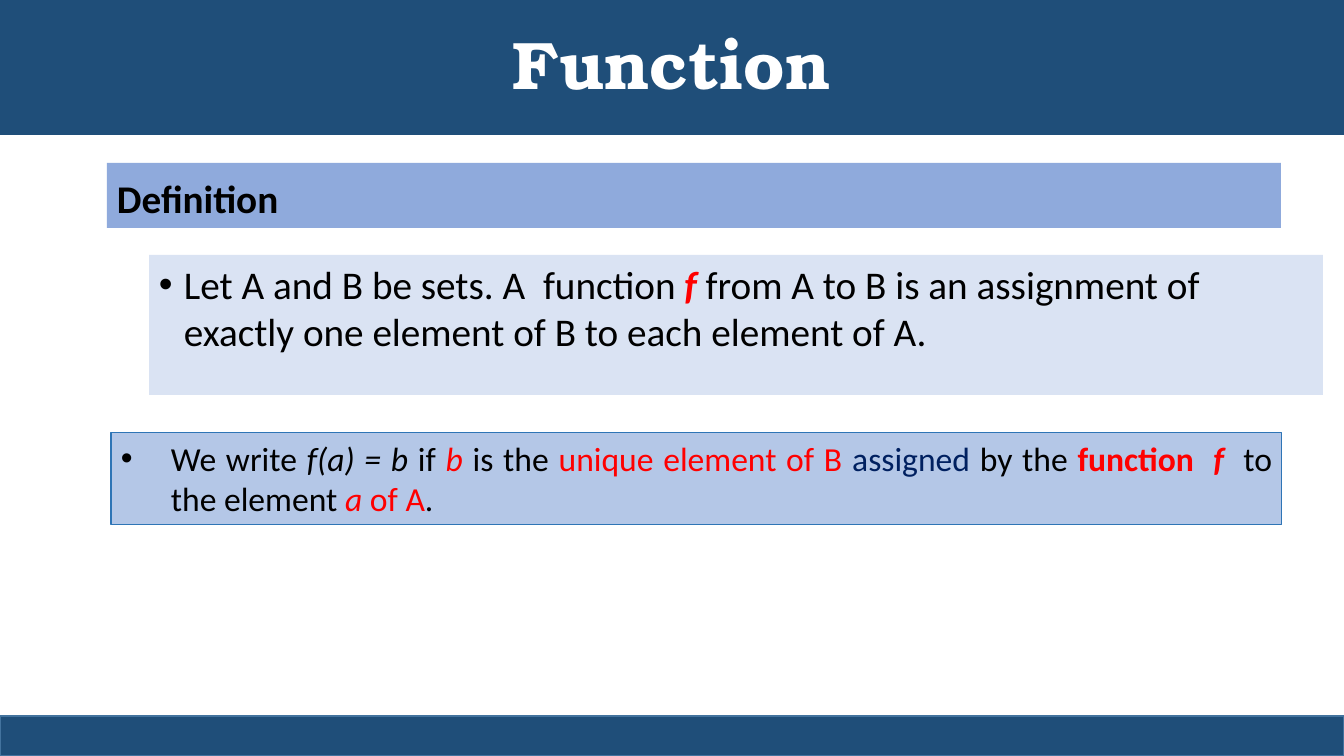
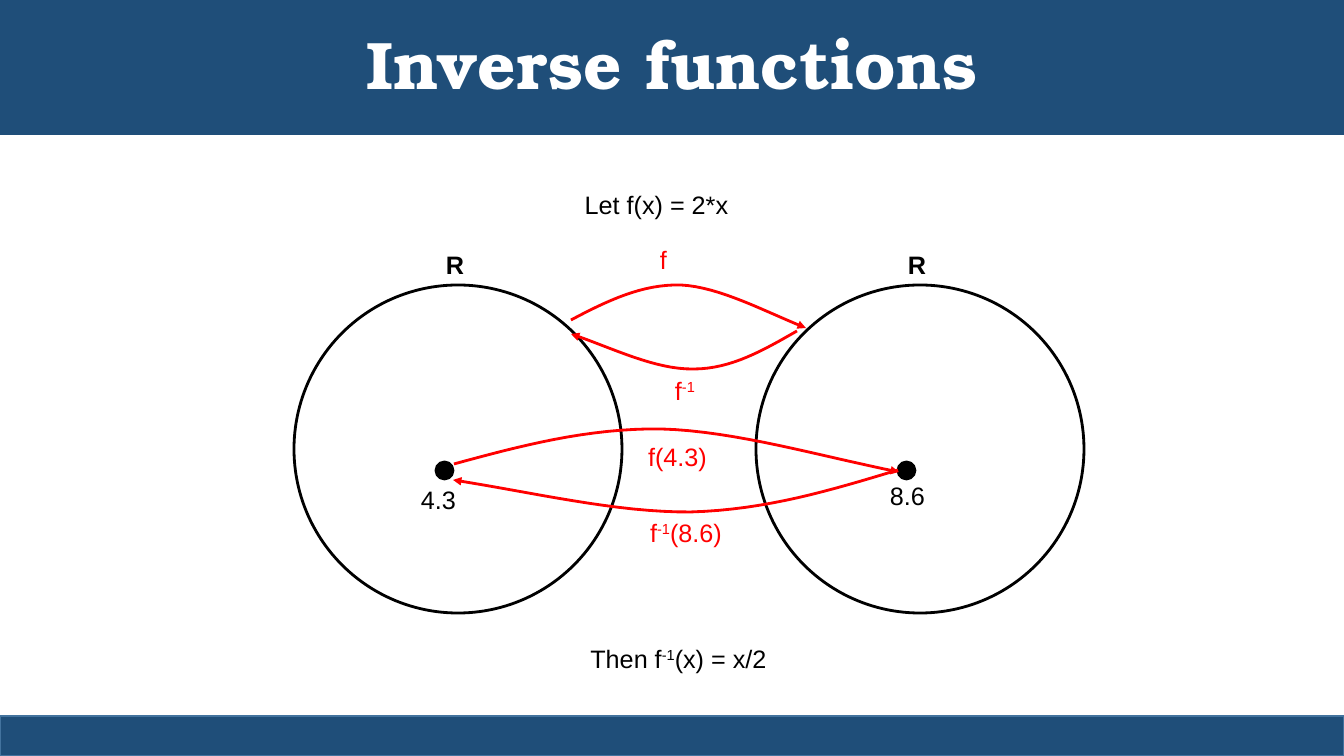
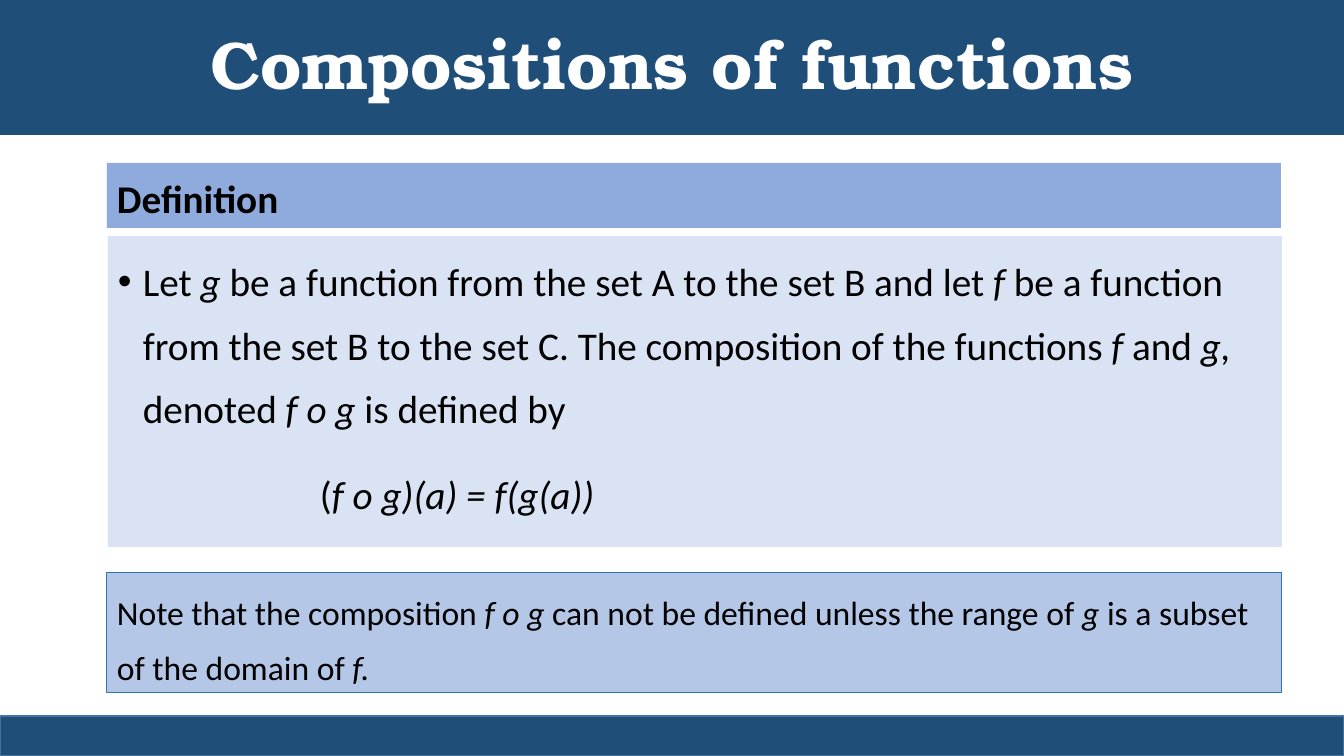
import dataclasses

import pptx
import pptx.dml.color
import pptx.enum.shapes
import pptx.enum.text
import pptx.oxml.ns
import pptx.util
from lxml import etree

PX = 12192000 / 1344  # EMU in one px
SLIDE_WIDTH, SLIDE_HEIGHT = 1344, 756


@dataclasses.dataclass(frozen=True)
class Theme:
    band: str = "1F4E79"
    band_edge: str = "43739E"
    heading_fill: str = "8FAADC"
    body_fill: str = "DAE3F3"
    note_fill: str = "B4C7E7"
    note_edge: str = "2E75B6"
    white: str = "FFFFFF"
    black: str = "000000"
    red: str = "FF0000"
    navy: str = "002060"
    title_font: str = "TeX Gyre Bonum"
    body_font: str = "Calibri"
    diagram_font: str = "Arial"
    title_size: int = 48
    body_size: int = 28
    note_size: int = 24
    label_size: int = 18


THEME = Theme()
RGB = pptx.dml.color.RGBColor.from_string
ALIGN = pptx.enum.text.PP_ALIGN
ANCHOR = pptx.enum.text.MSO_ANCHOR
SHAPE = pptx.enum.shapes.MSO_SHAPE
qn = pptx.oxml.ns.qn

ITALIC = {"italic": True}
RED = {"color": THEME.red}
RED_ITALIC = {**RED, **ITALIC}
RED_BOLD = {**RED, "bold": True}
RED_BOLD_ITALIC = {**RED_BOLD, **ITALIC}
SUPERSCRIPT = {"raised": True}


def write(shape, *runs, size=THEME.body_size, font=THEME.body_font, color=THEME.black,
          bold=False, align=ALIGN.LEFT, anchor=ANCHOR.TOP, wrap=True, spacing=1.0,
          before=0, after=0, indent=0, hanging=0, more=False):
    """Write one paragraph; a run is a string or (string, format), more adds to earlier text."""
    frame = shape.text_frame
    frame.word_wrap = wrap
    frame.auto_size = pptx.enum.text.MSO_AUTO_SIZE.NONE
    frame.vertical_anchor = anchor
    paragraph = frame.add_paragraph() if more else frame.paragraphs[0]
    properties = paragraph._p.get_or_add_pPr()
    properties.set("marL", str(round((indent + hanging) * PX)))
    properties.set("indent", str(round(-hanging * PX)))
    if hanging:
        etree.SubElement(properties, qn("a:buFont")).set("typeface", "Arial")
        etree.SubElement(properties, qn("a:buChar")).set("char", "•")
    paragraph.alignment = align
    paragraph.line_spacing = spacing
    paragraph.space_before = pptx.util.Pt(before)
    paragraph.space_after = pptx.util.Pt(after)
    for item in runs:
        text, style = (item, {}) if isinstance(item, str) else item
        run = paragraph.add_run()
        run.text = text
        run.font.name = font
        run.font.size = pptx.util.Pt(size)
        run.font.bold = style.get("bold", bold)
        run.font.italic = style.get("italic", False)
        run.font.color.rgb = RGB(style.get("color", color))
        if style.get("raised"):
            run._r.get_or_add_rPr().set("baseline", "30000")


def add_panel(slide, left, top, width, height, fill=None, edge=None, weight=0.75,
              outline=SHAPE.RECTANGLE):
    panel = slide.shapes.add_shape(
        outline, *(round(length * PX) for length in (left, top, width, height)))
    panel.shadow.inherit = False
    if fill:
        panel.fill.solid()
        panel.fill.fore_color.rgb = RGB(fill)
    else:
        panel.fill.background()
    if edge:
        panel.line.color.rgb = RGB(edge)
        panel.line.width = pptx.util.Pt(weight)
    else:
        panel.line.fill.background()
    return panel


deck = pptx.Presentation()
deck.slide_width = round(SLIDE_WIDTH * PX)
deck.slide_height = round(SLIDE_HEIGHT * PX)

# Title and footer bands on every slide
slides = []
for heading in ("Function", "Inverse functions", "Compositions of functions"):
    slide = deck.slides.add_slide(deck.slide_layouts[5])
    title = slide.shapes.title
    title.left, title.top = 0, 0
    title.width, title.height = deck.slide_width, round(135 * PX)
    title.fill.solid()
    title.fill.fore_color.rgb = RGB(THEME.band)
    write(title, heading, size=THEME.title_size, font=THEME.title_font, color=THEME.white,
          bold=True, align=ALIGN.CENTER, anchor=ANCHOR.MIDDLE, spacing=0.9)
    add_panel(slide, 0, 716, SLIDE_WIDTH, 40, THEME.band, THEME.band_edge, 1)
    slides.append(slide)
function_slide, inverse_slide, composition_slide = slides

for slide in (function_slide, composition_slide):
    definition = add_panel(slide, 107, 163, 1174, 65, THEME.heading_fill)
    write(definition, "Definition", bold=True, spacing=1.14)

# Function
function_body = add_panel(function_slide, 149, 255, 1174, 140, THEME.body_fill)
write(function_body, "Let A and B be sets. A  function ", ("f ", RED_BOLD_ITALIC),
      "from A to B is an assignment of exactly one element of B to each element of A.",
      hanging=25, after=6)

function_note = add_panel(function_slide, 111, 433, 1171, 92, THEME.note_fill, THEME.note_edge)
write(function_note, "We write ", ("f(a) = b ", ITALIC), "if ", ("b ", RED_ITALIC), "is the ",
      ("unique element of B ", RED), ("assigned", {"color": THEME.navy}), " by the ",
      ("function ", RED_BOLD), (" f  ", RED_BOLD_ITALIC), "to the element ",
      ("a ", RED_ITALIC), ("of A", RED), ".",
      size=THEME.note_size, align=ALIGN.JUSTIFY, hanging=50, after=12)

# Inverse functions: two sets with a point in each
labels = [
    (575, 184, 163, THEME.black, ["Let f(x) = 2*x"]),
    (650, 239, 27, THEME.red, ["f"]),
    (664, 370, 42, THEME.red, ["f", ("-1", {**RED, **SUPERSCRIPT})]),
    (638, 436, 79, THEME.red, ["f(4.3)"]),
    (639, 512, 94, THEME.red, ["f", ("-1", {**RED, **SUPERSCRIPT}), "(8.6)"]),
    (411, 479, 55, THEME.black, ["4.3"]),
    (880, 475, 55, THEME.black, ["8.6"]),
    (579, 638, 199, THEME.black, ["Then f", ("-1", SUPERSCRIPT), "(x) = x/2"]),
]
for set_left in (294, 756):
    add_panel(inverse_slide, set_left, 285, 328, 328, None, THEME.black, 2, SHAPE.OVAL)
    add_panel(inverse_slide, set_left + 142, 462, 17, 17, THEME.black, THEME.black, 2, SHAPE.OVAL)
    labels.append((set_left + 142, 244, 38, THEME.black, [("R", {"bold": True})]))

# Each mapping is two cubic curves that share their middle point
mappings = [
    [(571, 320), (607, 301), (642, 284), (681, 285), (720, 287), (766, 312), (806, 328)],
    [(797, 331), (764, 350), (731, 369), (694, 369), (655, 370), (610, 347), (571, 334)],
    [(454, 464), (520, 446), (588, 428), (661, 429), (736, 431), (823, 457), (899, 472)],
    [(898, 470), (832, 490), (766, 510), (691, 512), (618, 513), (530, 492), (453, 480)],
]
STEPS = 16
for controls in mappings:
    points = []
    for first in (0, 3):
        for step in range(1, STEPS + 1):
            t = step / STEPS
            weights = ((1 - t) ** 3, 3 * t * (1 - t) ** 2, 3 * t ** 2 * (1 - t), t ** 3)
            points.append(tuple(
                PX * sum(weight * control[axis]
                         for weight, control in zip(weights, controls[first:first + 4]))
                for axis in (0, 1)))
    start_x, start_y = controls[0]
    builder = inverse_slide.shapes.build_freeform(start_x * PX, start_y * PX)
    builder.add_line_segments(points, close=False)
    mapping = builder.convert_to_shape()
    mapping.shadow.inherit = False
    mapping.fill.background()
    mapping.line.color.rgb = RGB(THEME.red)
    mapping.line.width = pptx.util.Pt(2)
    stroke = mapping._element.spPr.find(qn("a:ln"))
    etree.SubElement(stroke, qn("a:round"))
    etree.SubElement(stroke, qn("a:tailEnd")).set("type", "triangle")

for left, top, width, color, runs in labels:
    label = inverse_slide.shapes.add_textbox(
        *(round(length * PX) for length in (left, top, width, 40)))
    write(label, *runs, size=THEME.label_size, font=THEME.diagram_font, color=color,
          align=ALIGN.CENTER, wrap=False)

# Compositions of functions
composition_body = add_panel(composition_slide, 108, 236, 1174, 311, THEME.body_fill)
write(composition_body, "Let ", ("g ", ITALIC),
      "be a function from the set A to the set B and let ", ("f ", ITALIC),
      "be a function from the set B to the set C. The composition of the functions ",
      ("f ", ITALIC), "and ", ("g, ", ITALIC), "denoted ", ("f o g ", ITALIC), "is defined by",
      hanging=25, spacing=1.35, after=6)
write(composition_body, "(", ("f o g)(a) = f(g(a))", ITALIC),
      indent=202, spacing=1.35, before=10, after=6, more=True)

composition_note = add_panel(composition_slide, 107, 573, 1175, 120,
                             THEME.note_fill, THEME.note_edge)
write(composition_note, "Note that the composition ", ("f o g", ITALIC),
      " can not be defined unless the range of ", ("g ", ITALIC),
      "is a subset of the domain of ", ("f.", ITALIC),
      size=THEME.note_size, spacing=1.35, after=6)

deck.save("out.pptx")
